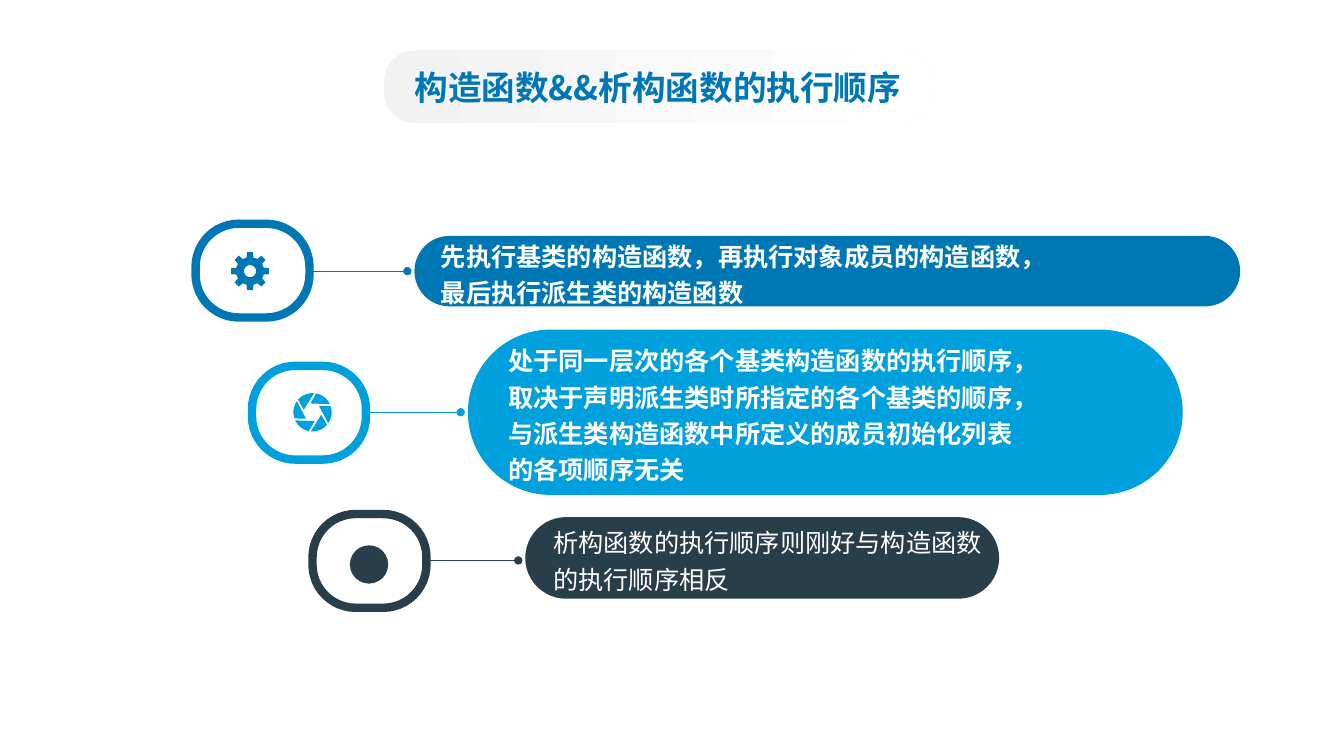
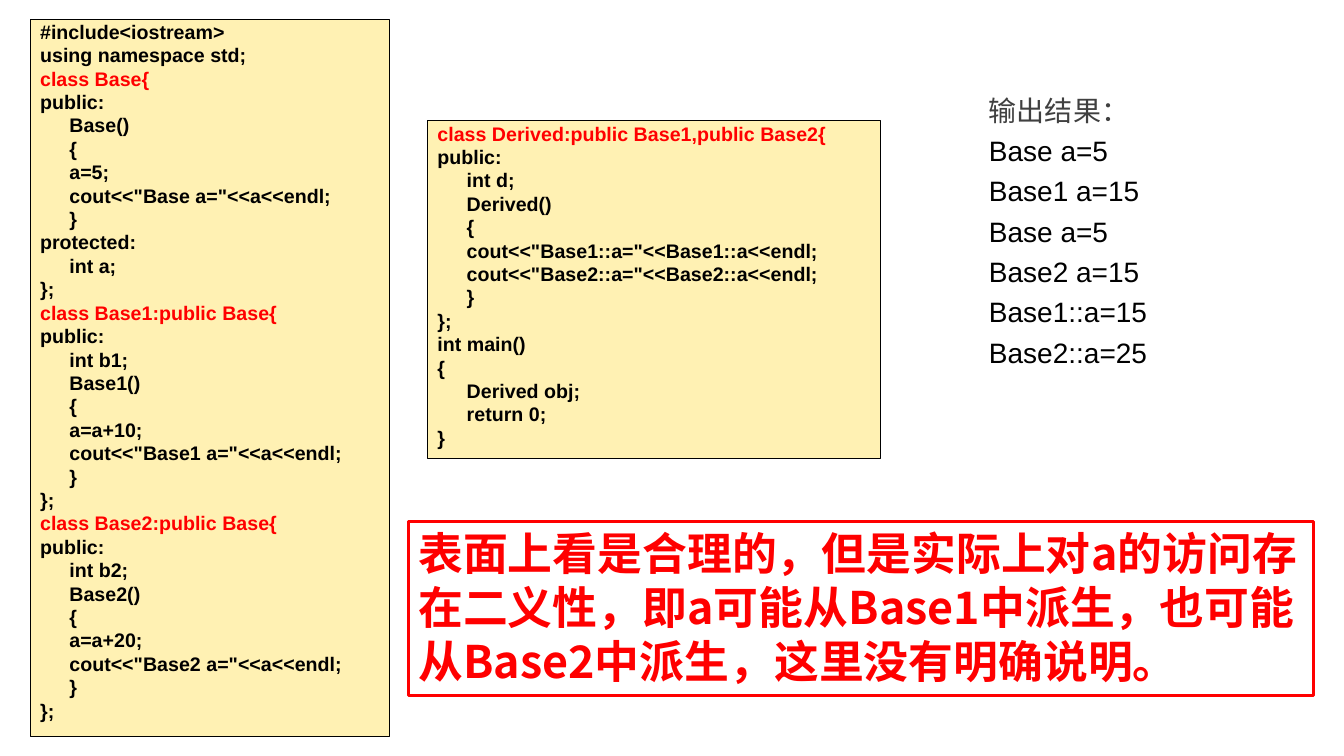
"""Build two slides on the order of constructors and destructors in C++."""
from dataclasses import dataclass
from math import cos, radians, sin

from lxml.etree import SubElement
from pptx import Presentation
from pptx.dml.color import RGBColor
from pptx.enum.shapes import MSO_CONNECTOR as CONNECTOR, MSO_SHAPE as SHAPE
from pptx.enum.text import MSO_ANCHOR as ANCHOR, PP_ALIGN as ALIGN
from pptx.oxml.ns import qn
from pptx.util import Inches, Pt


@dataclass(frozen=True)
class Theme:
    blue: str = "0077B5"
    sky: str = "00A0DC"
    slate: str = "283E4A"
    white: str = "FFFFFF"
    mist: str = "F2F2F2"
    cream: str = "FFF1B3"
    black: str = "000000"
    gray: str = "404040"
    red: str = "FF0000"
    latin: str = "Arial"
    cjk: str = "Noto Sans CJK SC"
    title: int = 24
    point: int = 18
    code: int = 14
    result: int = 20
    warning: int = 32


theme = Theme()


def style(shape, fill, line=None, width=0):
    shape.shadow.inherit = False
    if fill:
        shape.fill.solid()
        shape.fill.fore_color.rgb = RGBColor.from_string(fill)
    if line:
        shape.line.color.rgb = RGBColor.from_string(line)
        shape.line.width = Pt(width)
    else:
        shape.line.fill.background()


def write(shape, lines, size, font, bold=False, frame=None, paragraph=None, hanging=0):
    text_frame = shape.text_frame
    frame_format = {"word_wrap": True, "vertical_anchor": ANCHOR.TOP} | (frame or {})
    for name, value in frame_format.items():
        setattr(text_frame, name, value)
    for index, (text, color) in enumerate(lines):
        row = text_frame.add_paragraph() if index else text_frame.paragraphs[0]
        for name, value in ({"alignment": ALIGN.LEFT} | (paragraph or {})).items():
            setattr(row, name, value)
        if hanging:
            properties = row._p.get_or_add_pPr()
            properties.set("marL", str(Inches(hanging)))
            properties.set("indent", str(-Inches(hanging)))
        run = row.add_run()
        run.text = text
        for name, value in {"size": Pt(size), "bold": bold, "name": font}.items():
            setattr(run.font, name, value)
        run.font.color.rgb = RGBColor.from_string(color)
        SubElement(run._r.get_or_add_rPr(), qn("a:ea")).set("typeface", theme.cjk)


deck = Presentation()
deck.slide_width, deck.slide_height = Inches(13.33), Inches(7.5)
order_slide, example_slide = [deck.slides.add_slide(deck.slide_layouts[6]) for _ in range(2)]

gear = [
    [(radius, 45 * tooth + angle) for tooth in range(8)
     for radius, angle in ((0.14, -14), (0.19, -9), (0.19, 9), (0.14, 14))],
    [(0.06, angle) for angle in range(0, 360, 15)],
]
aperture = [
    [(0.19, 60 * blade + angle) for angle in range(85, 140, 9)] + [(0.09, 60 * blade + 164)]
    for blade in range(6)
]
points = [
    {"color": theme.blue, "ring": (1.94, 2.22), "axis": 2.69, "pill": (4.11, 2.34, 8.19, 0.7),
     "icon": gear, "center": (2.48, 2.69), "font": theme.latin, "bold": True,
     "lines": ["先执行基类的构造函数，再执行对象成员的构造函数，", "最后执行派生类的构造函数"]},
    {"color": theme.sky, "ring": (2.5, 3.63), "axis": 4.09, "pill": (4.64, 3.27, 7.09, 1.64),
     "icon": aperture, "center": (3.1, 4.09), "font": theme.latin, "bold": True,
     "lines": ["处于同一层次的各个基类构造函数的执行顺序，",
               "取决于声明派生类时所指定的各个基类的顺序，",
               "与派生类构造函数中所定义的成员初始化列表", "的各项顺序无关"]},
    {"color": theme.slate, "ring": (3.1, 5.1), "axis": 5.56, "pill": (5.21, 5.13, 4.7, 0.81),
     "icon": None, "center": (3.66, 5.6), "font": theme.cjk, "bold": False,
     "lines": ["析构函数的执行顺序则刚好与构造函数", "的执行顺序相反"]},
]

for point in points:
    color, pill_left = point["color"], point["pill"][0]
    axis = Inches(point["axis"])
    link = order_slide.shapes.add_connector(
        CONNECTOR.STRAIGHT, Inches(pill_left - 1.11), axis, Inches(pill_left - 0.07), axis)
    link.line.color.rgb = RGBColor.from_string(color)
    link.line.width = Pt(0.5)
    SubElement(link.line._get_or_add_ln(), qn("a:tailEnd")).set("type", "oval")
    SubElement(link._element.spPr, qn("a:effectLst"))

    pill = order_slide.shapes.add_shape(SHAPE.ROUNDED_RECTANGLE, *map(Inches, point["pill"]))
    pill.adjustments[0] = 0.5
    style(pill, color)
    write(pill, [(text, theme.white) for text in point["lines"]], theme.point, point["font"],
          point["bold"], {"vertical_anchor": ANCHOR.MIDDLE, "margin_left": Inches(0.16),
                          "margin_right": 0}, {"line_spacing": 1.2})

    ring = order_slide.shapes.add_shape(
        SHAPE.ROUNDED_RECTANGLE, *map(Inches, (*point["ring"], 1.13, 0.93)))
    ring.adjustments[0] = 0.46
    style(ring, theme.white, color, 6)

    x, y = point["center"]
    if point["icon"]:
        contours = [
            [(Inches(x + radius * cos(radians(angle))), Inches(y - radius * sin(radians(angle))))
             for radius, angle in contour] for contour in point["icon"]]
        outline = order_slide.shapes.build_freeform(*contours[0][0])
        for index, contour in enumerate(contours):
            if index:
                outline.move_to(*contour[0])
            outline.add_line_segments(contour[1:], close=True)
        icon = outline.convert_to_shape()
    else:
        icon = order_slide.shapes.add_shape(
            SHAPE.OVAL, *map(Inches, (x - 0.19, y - 0.19, 0.38, 0.38)))
    style(icon, color)

title = order_slide.shapes.add_shape(
    SHAPE.ROUNDED_RECTANGLE, *map(Inches, (3.81, 0.5, 5.43, 0.72)))
title.adjustments[0] = 0.42
style(title, None)
title.fill.gradient()
title.fill.gradient_angle = 0
for stop, (position, color) in zip(title.fill.gradient_stops,
                                   ((0, theme.mist), (0.99, theme.white))):
    stop.position = position
    stop.color.rgb = RGBColor.from_string(color)
write(title, [("构造函数&&析构函数的执行顺序", theme.blue)], theme.title, theme.cjk, True,
      {"vertical_anchor": ANCHOR.MIDDLE, "margin_left": Inches(0.05),
       "margin_right": Inches(0.05)}, {"alignment": ALIGN.CENTER})

base_code = ["#include<iostream>", "using namespace std;", "class Base{", "public:",
             "\tBase()", "\t{", "\ta=5;", '\tcout<<"Base a="<<a<<endl;', "\t}",
             "protected:", "\tint a;", "};"]
for number in (1, 2):
    base_code += [f"class Base{number}:public Base{{", "public:", f"\tint b{number};",
                  f"\tBase{number}()", "\t{", f"\ta=a+{number}0;",
                  f'\tcout<<"Base{number} a="<<a<<endl;', "\t}", "};"]
derived_code = ["class Derived:public Base1,public Base2{", "public:", "\tint d;",
                "\tDerived()", "\t{", '\tcout<<"Base1::a="<<Base1::a<<endl;',
                '\tcout<<"Base2::a="<<Base2::a<<endl;', "\t}", "};", "int main()", "{",
                "\tDerived obj;", "\treturn 0;", "}"]
for box, code in (((0.3, 0.19, 3.56, 7.12), base_code), ((4.24, 1.2, 4.49, 3.35), derived_code)):
    listing = example_slide.shapes.add_shape(SHAPE.RECTANGLE, *map(Inches, box))
    style(listing, theme.cream, theme.black, 0.75)
    write(listing, [(text, theme.red if text.startswith("class") else theme.black)
                    for text in code], theme.code, theme.latin, True,
          paragraph={"line_spacing": 0.8, "space_before": Pt(3.3)}, hanging=0.29)

output = example_slide.shapes.add_textbox(*map(Inches, (9.71, 0.81, 3.4, 3)))
results = ["Base a=5", "Base1 a=15", "Base a=5", "Base2 a=15", "Base1::a=15", "Base2::a=25"]
write(output, [("输出结果：", theme.gray)] + [(text, theme.black) for text in results],
      theme.result, theme.latin, paragraph={"line_spacing": 1.2})

warning = example_slide.shapes.add_shape(SHAPE.RECTANGLE, *map(Inches, (4.05, 5.17, 8.98, 1.73)))
style(warning, theme.white, theme.red, 2.25)
write(warning, [("表面上看是合理的，但是实际上对a的访问存在二义性，即a可能从Base1中派生，"
                 "也可能从Base2中派生，这里没有明确说明。", theme.red)],
      theme.warning, theme.cjk, True)

deck.save("out.pptx")
